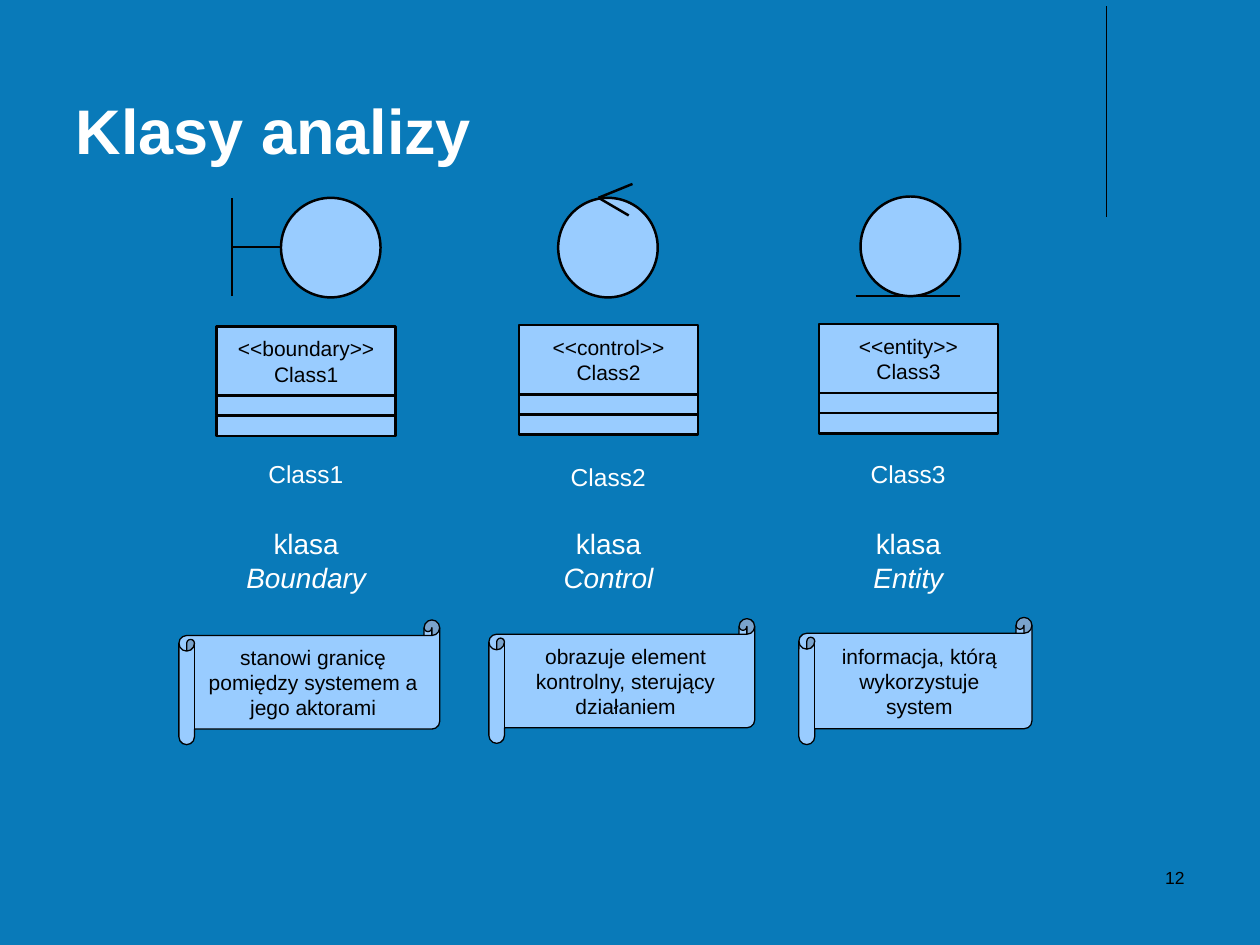
from dataclasses import dataclass

from lxml import etree
from pptx import Presentation
from pptx.dml.color import RGBColor
from pptx.enum.shapes import MSO_CONNECTOR, MSO_SHAPE
from pptx.enum.text import MSO_ANCHOR, MSO_AUTO_SIZE, PP_ALIGN
from pptx.oxml.ns import qn
from pptx.util import Inches, Pt

LINE = MSO_CONNECTOR.STRAIGHT
OVAL, RECT, SCROLL = MSO_SHAPE.OVAL, MSO_SHAPE.RECTANGLE, MSO_SHAPE.HORIZONTAL_SCROLL
TOP, MID, LOW = MSO_ANCHOR.TOP, MSO_ANCHOR.MIDDLE, MSO_ANCHOR.BOTTOM
LEFT, CENTER, RIGHT = PP_ALIGN.LEFT, PP_ALIGN.CENTER, PP_ALIGN.RIGHT
NO_FIT = MSO_AUTO_SIZE.NONE


@dataclass(frozen=True)
class Theme:
    """Colours, type sizes and line widths of the slide."""
    back: RGBColor = RGBColor(0x09, 0x7A, 0xB9)
    fill: RGBColor = RGBColor(0x99, 0xCC, 0xFF)
    dark: RGBColor = RGBColor(0, 0, 0)
    light: RGBColor = RGBColor(255, 255, 255)
    font: str = "Arial"
    title: int = 36
    kind: int = 16
    label: int = 14
    body: int = 12
    page: int = 10
    thick: float = 1.42
    thin: float = 0.75


THEME = Theme()


@dataclass(frozen=True)
class Column:
    """One analysis class with its own places."""
    kind: str
    name: str
    box: tuple
    label: tuple
    note: tuple
    text: str


COLUMNS = (
    Column("Boundary", "Class1", (1.72, 2.59), (2.13, 3.64), (1.42, 4.92, 2.07, 0.99),
           "stanowi granicę pomiędzy systemem a jego aktorami"),
    Column("Control", "Class2", (4.12, 2.58), (4.53, 3.67), (3.88, 4.91, 2.11, 0.99),
           "obrazuje element kontrolny, sterujący działaniem"),
    Column("Entity", "Class3", (6.5, 2.57), (6.91, 3.64), (6.34, 4.9, 1.85, 1.01),
           "informacja, którą wykorzystuje system"),
)

ICONS = (
    ((2.23, 1.57), ((1.84, 1.96, 2.23, 1.96), (1.84, 2.35, 1.84, 1.57))),
    ((4.43, 1.57), ((4.75, 1.57, 5.02, 1.46), (4.75, 1.57, 4.99, 1.71))),
    ((6.83, 1.56), ((6.79, 2.35, 7.62, 2.35),)),
)


def write(shape, text, size=THEME.body, color=THEME.dark, bold=False, tail="",
          align=CENTER, anchor=MID, pad=(0.1, 0.05), wrap=True):
    """Fill a shape with lines of text and an italic tail."""
    frame = shape.text_frame
    frame.auto_size = NO_FIT
    frame.word_wrap = wrap
    frame.vertical_anchor = anchor
    frame.margin_left = frame.margin_right = Inches(pad[0])
    frame.margin_top = frame.margin_bottom = Inches(pad[1])
    frame.text = text
    for para in frame.paragraphs:
        para.alignment = align
    if tail:
        run = frame.paragraphs[-1].add_run()
        run.text = tail
        run.font.italic = True
    for para in frame.paragraphs:
        for run in para.runs:
            run.font.name = THEME.font
            run.font.size = Pt(size)
            run.font.bold = bold
            run.font.color.rgb = color


def add_text(shapes, place, text, **form):
    """Add a text box."""
    box = shapes.add_textbox(*map(Inches, place))
    write(box, text, anchor=TOP, **form)


def add_form(shapes, preset, place, width=THEME.thick):
    """Add a filled and outlined preset shape."""
    shape = shapes.add_shape(preset, *map(Inches, place))
    shape.shadow.inherit = False
    shape.fill.solid()
    shape.fill.fore_color.rgb = THEME.fill
    shape.line.color.rgb = THEME.dark
    shape.line.width = Pt(width)
    return shape


def add_line(shapes, ends, width=THEME.thick):
    """Add a straight line without shadow."""
    line = shapes.add_connector(LINE, *map(Inches, ends))
    line.line.color.rgb = THEME.dark
    line.line.width = Pt(width)
    etree.SubElement(line._element.spPr, qn("a:effectLst"))


def add_icon(shapes, spot, lines):
    """Add a class symbol: a circle with its strokes."""
    group = shapes.add_group_shape().shapes
    add_form(group, OVAL, (*spot, 0.79, 0.79))
    for ends in lines:
        add_line(group, ends)


def add_class(shapes, col):
    """Add a class box with a head and two empty rows."""
    group = shapes.add_group_shape().shapes
    left, top = col.box
    head = add_form(group, RECT, (left, top, 1.42, 0.55))
    write(head, f"<<{col.kind.lower()}>>\n{col.name}", pad=(0.11, 0.06))
    for row in range(2):
        add_form(group, RECT, (left, top + 0.55 + row * 0.16, 1.42, 0.16))


def add_column(shapes, col):
    """Add the class box, labels and note of one column."""
    add_class(shapes, col)
    add_text(shapes, (*col.label, 0.6, 0.23), col.name, size=THEME.label,
             color=THEME.light, align=LEFT, pad=(0, 0), wrap=False)
    add_text(shapes, (col.box[0] + 0.08, 4.13, 1.26, 0.64), "klasa ", tail=col.kind,
             size=THEME.kind, color=THEME.light)
    note = add_form(shapes, SCROLL, col.note, width=0)
    write(note, col.text)


def add_title(shapes, text):
    """Place and fill the title."""
    title = shapes.title
    title.left, title.top, title.width, title.height = map(Inches, (0.5, 0.13, 8.25, 1.25))
    write(title, text, size=THEME.title, color=THEME.light, bold=True, align=LEFT, anchor=LOW)


def main():
    """Build and save the slide."""
    deck = Presentation()
    deck.slide_width, deck.slide_height = Inches(10), Inches(7.5)
    slide = deck.slides.add_slide(deck.slide_layouts[5])
    slide.background.fill.solid()
    slide.background.fill.fore_color.rgb = THEME.back
    shapes = slide.shapes
    add_line(shapes, (8.78, 0.05, 8.78, 1.72), width=THEME.thin)
    add_title(shapes, "Klasy analizy")
    for spot, lines in ICONS:
        add_icon(shapes, spot, lines)
    for col in COLUMNS:
        add_column(shapes, col)
    add_text(shapes, (7.17, 6.83, 2.33, 0.5), "12", size=THEME.page, align=RIGHT)
    deck.save("out.pptx")


if __name__ == "__main__":
    main()
